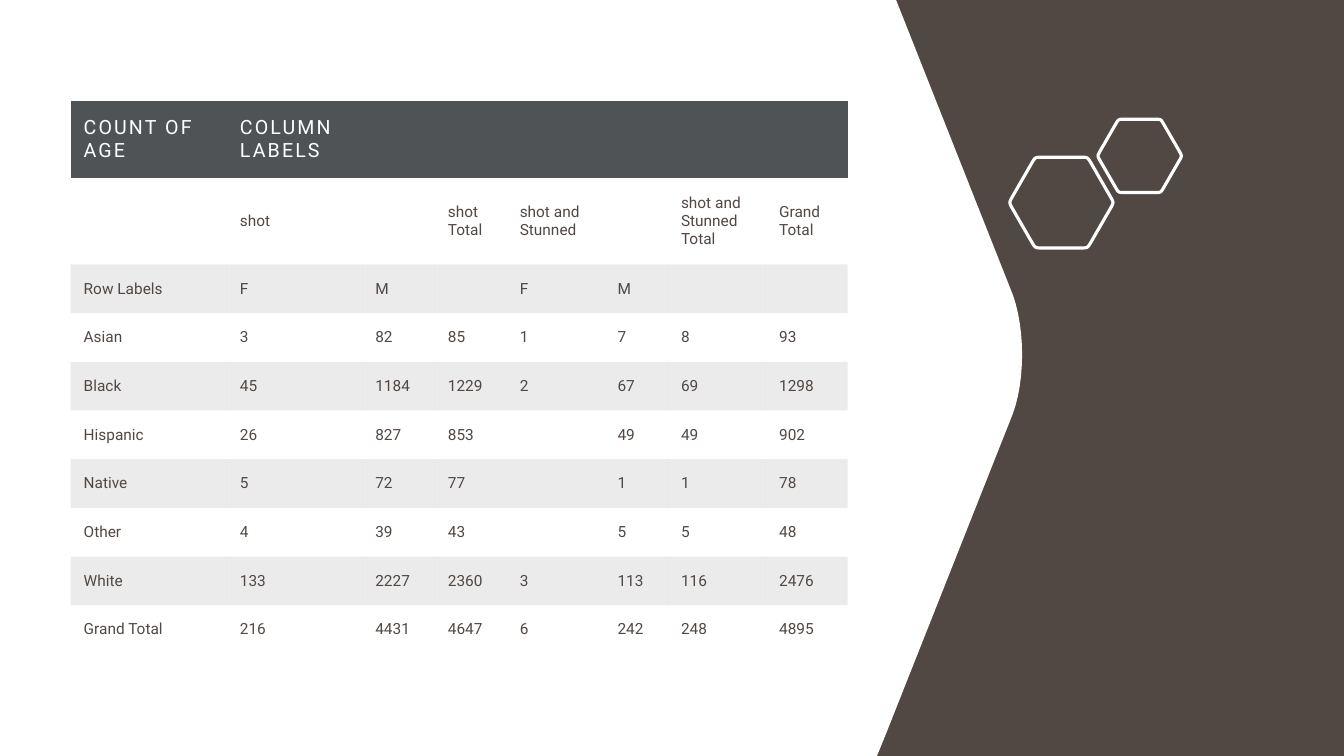
import math

from lxml import etree
from pptx import Presentation
from pptx import util as u
from pptx.dml import color
from pptx.enum import shapes, text
from pptx.oxml import ns

COLORS = {"brown": "514843", "white": "FFFFFF", "slate": "505356", "band": "000000"}
COLUMNS, ROWS = 40, 22.5
NO_GRID_STYLE = "{2D5ABB26-0587-4C30-8999-92F81FD0307C}"

COLUMN_WIDTHS = [4.65, 4.03, 2.16, 2.14, 2.91, 1.89, 2.92, 2.43]
ROW_HEIGHTS = [2.29, 2.58] + [1.45] * 8
COUNTS = [
    ["COUNT OF AGE", "COLUMN LABELS", "", "", "", "", "", ""],
    ["", "shot", "", "shot Total", "shot and Stunned", "", "shot and Stunned Total", "Grand Total"],
    ["Row Labels", "F", "M", "", "F", "M", "", ""],
    ["Asian", "3", "82", "85", "1", "7", "8", "93"],
    ["Black", "45", "1184", "1229", "2", "67", "69", "1298"],
    ["Hispanic", "26", "827", "853", "", "49", "49", "902"],
    ["Native", "5", "72", "77", "", "1", "1", "78"],
    ["Other", "4", "39", "43", "", "5", "5", "48"],
    ["White", "133", "2227", "2360", "3", "113", "116", "2476"],
    ["Grand Total", "216", "4431", "4647", "6", "242", "248", "4895"],
]


def curve(ends, steps=12):
    points = []
    for i in range(steps + 1):
        t = i / steps
        weights = [(1 - t) ** 3, 3 * t * (1 - t) ** 2, 3 * t * t * (1 - t), t ** 3]
        points.append(tuple(sum(w * end[axis] for w, end in zip(weights, ends)) for axis in (0, 1)))
    return points


def rounded_hexagon(cx, cy, radius, cut=0.13):
    corners = [(cx + radius * math.cos(k * math.pi / 3), cy + radius * math.sin(k * math.pi / 3))
               for k in range(6)]
    points = []
    for k, corner in enumerate(corners):
        before, after = corners[k - 1], corners[(k + 1) % 6]
        start, end = [tuple(c + (n - c) * cut for c, n in zip(corner, near)) for near in (before, after)]
        points += curve([start, corner, corner, end], 6)
    return points


class Deck:
    def __init__(self, prs, font):
        self.prs, self.font = prs, font
        self.s = prs.slides.add_slide(prs.slide_layouts[6])

    def x(self, columns):
        return round(columns * self.prs.slide_width / COLUMNS)

    def y(self, rows):
        return round(rows * self.prs.slide_height / ROWS)

    def paint(self, sp, fill=None, line=None, width=2.25):
        sp.shadow.inherit = False
        for part, name in ((sp.fill, fill), (sp.line.fill, line)):
            if name:
                part.solid()
                part.fore_color.rgb = color.RGBColor.from_string(COLORS[name])
            else:
                part.background()
        if line:
            sp.line.width = u.Pt(width)

    def panel(self, left, top, width, height, fill):
        sp = self.s.shapes.add_shape(shapes.MSO_SHAPE.RECTANGLE, self.x(left), self.y(top),
                                     self.x(width), self.y(height))
        self.paint(sp, fill)

    def outline(self, points, group=None, **style):
        points = [(self.x(px), self.y(py)) for px, py in points]
        builder = (group or self.s).shapes.build_freeform(*points[0])
        builder.add_line_segments(points[1:], close=True)
        self.paint(builder.convert_to_shape(), **style)

    def hexagons(self, places):
        group = self.s.shapes.add_group_shape()
        for place in places:
            self.outline(rounded_hexagon(*place), group, line="white")

    def cell(self, cell, content, size, ink, spacing, fill, alpha):
        formats = {"vertical_anchor": text.MSO_ANCHOR.MIDDLE}
        formats.update({f"margin_{side}": u.Inches(0.13) for side in ("left", "right", "top", "bottom")})
        for name, value in formats.items():
            setattr(cell, name, value)
        if fill:
            cell.fill.solid()
            cell.fill.fore_color.rgb = color.RGBColor.from_string(COLORS[fill])
            if alpha:
                rgb = cell._tc.find(".//" + ns.qn("a:srgbClr"))
                etree.SubElement(rgb, ns.qn("a:alpha"), val=str(alpha * 1000))
        else:
            cell.fill.background()
        p = cell.text_frame.paragraphs[0]
        if not content:
            etree.SubElement(p._p, ns.qn("a:endParaRPr"), sz=str(size * 100))
            return
        r = p.add_run()
        r.text = content
        for name, value in {"name": self.font, "size": u.Pt(size), "bold": False}.items():
            setattr(r.font, name, value)
        r.font.color.rgb = color.RGBColor.from_string(COLORS[ink])
        r._r.get_or_add_rPr().set("spc", str(spacing))

    def table(self, left, top, widths, heights, rows):
        frame = self.s.shapes.add_table(len(rows), len(widths), self.x(left), self.y(top),
                                        self.x(sum(widths)), self.y(sum(heights)))
        table = frame.table
        table.horz_banding = False
        table._tbl.tblPr.find(ns.qn("a:tableStyleId")).text = NO_GRID_STYLE
        for column, width in zip(table.columns, widths):
            column.width = self.x(width)
        for i, (row, height, contents) in enumerate(zip(table.rows, heights, rows)):
            row.height = self.y(height)
            if i == 0:
                look = (14, "white", 150, "slate", None)
            else:
                look = (11, "brown", 0, "band" if i % 2 == 0 else None, 8)
            for cell, content in zip(row.cells, contents):
                self.cell(cell, content, *look)


def main():
    prs = Presentation()
    prs.slide_width, prs.slide_height = u.Inches(13.33), u.Inches(7.5)
    deck = Deck(prs, "Roboto")
    deck.panel(0, 0, COLUMNS, ROWS, "brown")
    bulge = curve([(30.15, 8.79), (30.51, 9.81), (30.51, 11.31), (30.15, 12.3)])
    deck.outline([(0, 0), (26.67, 0), *bulge, (26.37, 21.84), (26.1, ROWS), (0, ROWS)], fill="white")
    deck.hexagons([(31.59, 6.03, 1.56), (33.92, 4.64, 1.26)])
    deck.table(2.1, 3, COLUMN_WIDTHS, ROW_HEIGHTS, COUNTS)
    prs.save("out.pptx")


if __name__ == "__main__":
    main()
